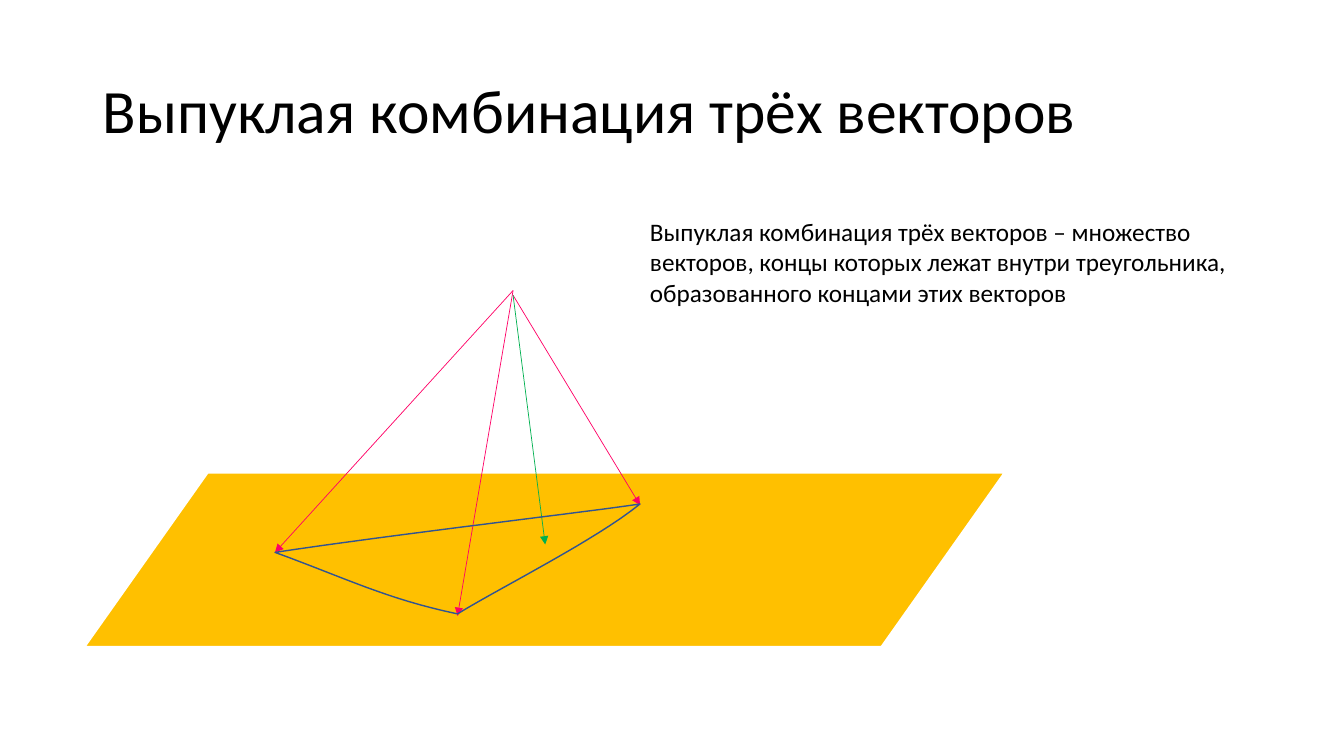
from lxml import etree
from pptx import Presentation
from pptx import util as u
from pptx.dml.color import RGBColor
from pptx.enum import shapes, text
from pptx.oxml.ns import qn

BLACK = RGBColor(0x00, 0x00, 0x00)
WHITE = RGBColor(0xFF, 0xFF, 0xFF)
AMBER = RGBColor(0xFF, 0xC0, 0x00)
PINK = RGBColor(0xFF, 0x00, 0x66)
GREEN = RGBColor(0x00, 0xB0, 0x50)
BLUE = RGBColor(0x32, 0x54, 0x91)

# Centimetres
APEX_X = 12.93
VECTORS = [
    (7.32, (6.93, 13.92), PINK),
    (7.32, (11.53, 15.52), PINK),
    (7.44, (16.13, 12.73), PINK),
    (7.44, (13.74, 13.72), GREEN),
]
LEFT, RIGHT, FRONT = (6.93, 13.92), (16.13, 12.7), (11.53, 15.47)
TRIANGLE_SIDES = [
    (LEFT, (9.98, 13.46), (14.99, 12.88), RIGHT),
    (RIGHT, (15.04, 13.59), (12.7, 14.76), FRONT),
    (FRONT, (9.73, 15.09), (8.74, 14.58), LEFT),
]


def bezier_points(p0, p1, p2, p3, steps=16):
    """Return points along a cubic curve, leaving out its start."""
    points = []
    for step in range(1, steps + 1):
        t = step / steps
        s = 1 - t
        points.append(tuple(
            s**3 * a + 3 * s * s * t * b + 3 * s * t * t * c + t**3 * d
            for a, b, c, d in zip(p0, p1, p2, p3)))
    return points


class SlideBuilder:
    """Holds the text style and the current slide; lengths are in cm."""

    def __init__(self, slide, font="Calibri", color=BLACK):
        self.slide = slide
        self.font = font
        self.color = color

    def plane(self, left, top, width, height, slant):
        shape = self.slide.shapes.add_shape(
            shapes.MSO_SHAPE.PARALLELOGRAM,
            u.Cm(left), u.Cm(top), u.Cm(width), u.Cm(height))
        shape.adjustments[0] = slant
        shape.shadow.inherit = False
        shape.fill.solid()
        shape.fill.fore_color.rgb = AMBER
        shape.line.color.rgb = WHITE
        shape.line.width = u.Pt(1.5)

    def text_box(self, left, top, width, height, content, size,
                 anchor=text.MSO_ANCHOR.TOP, spacing=1.0):
        box = self.slide.shapes.add_textbox(
            u.Cm(left), u.Cm(top), u.Cm(width), u.Cm(height))
        frame = box.text_frame
        frame.word_wrap = True
        frame.vertical_anchor = anchor
        paragraph = frame.paragraphs[0]
        paragraph.line_spacing = spacing
        run = paragraph.add_run()
        run.text = content
        run.font.name = self.font
        run.font.size = u.Pt(size)
        run.font.color.rgb = self.color

    def arrow(self, start, end, color):
        connector = self.slide.shapes.add_connector(
            shapes.MSO_CONNECTOR.STRAIGHT,
            *(u.Cm(value) for value in (*start, *end)))
        connector.line.color.rgb = color
        connector.line.width = u.Pt(0.5)
        properties = connector._element.spPr
        line = properties.find(qn("a:ln"))
        etree.SubElement(line, qn("a:tailEnd")).set("type", "triangle")
        etree.SubElement(properties, qn("a:effectLst"))

    def curved_outline(self, sides, color):
        points = [(u.Cm(x), u.Cm(y))
                  for side in sides for x, y in bezier_points(*side)]
        builder = self.slide.shapes.build_freeform(*points[-1])
        builder.add_line_segments(points, close=True)
        shape = builder.convert_to_shape()
        shape.shadow.inherit = False
        shape.fill.background()
        shape.line.color.rgb = color
        shape.line.width = u.Pt(1)


def main():
    presentation = Presentation()
    presentation.slide_width = u.Cm(33.87)
    presentation.slide_height = u.Cm(19.05)
    slide = presentation.slides.add_slide(presentation.slide_layouts[6])
    builder = SlideBuilder(slide)

    builder.plane(2.13, 11.91, 23.19, 4.39, slant=0.707)
    builder.text_box(2.34, 1.02, 29.21, 3.68,
                     "Выпуклая комбинация трёх векторов", 44,
                     anchor=text.MSO_ANCHOR.MIDDLE, spacing=0.9)
    for apex_y, end, color in VECTORS:
        builder.arrow((APEX_X, apex_y), end, color)
    builder.text_box(16.13, 5.33, 15.39, 2.57,
                     "Выпуклая комбинация трёх векторов – множество векторов, "
                     "концы которых лежат внутри треугольника, "
                     "образованного концами этих векторов", 18)
    builder.curved_outline(TRIANGLE_SIDES, BLUE)

    presentation.save("out.pptx")


if __name__ == "__main__":
    main()
